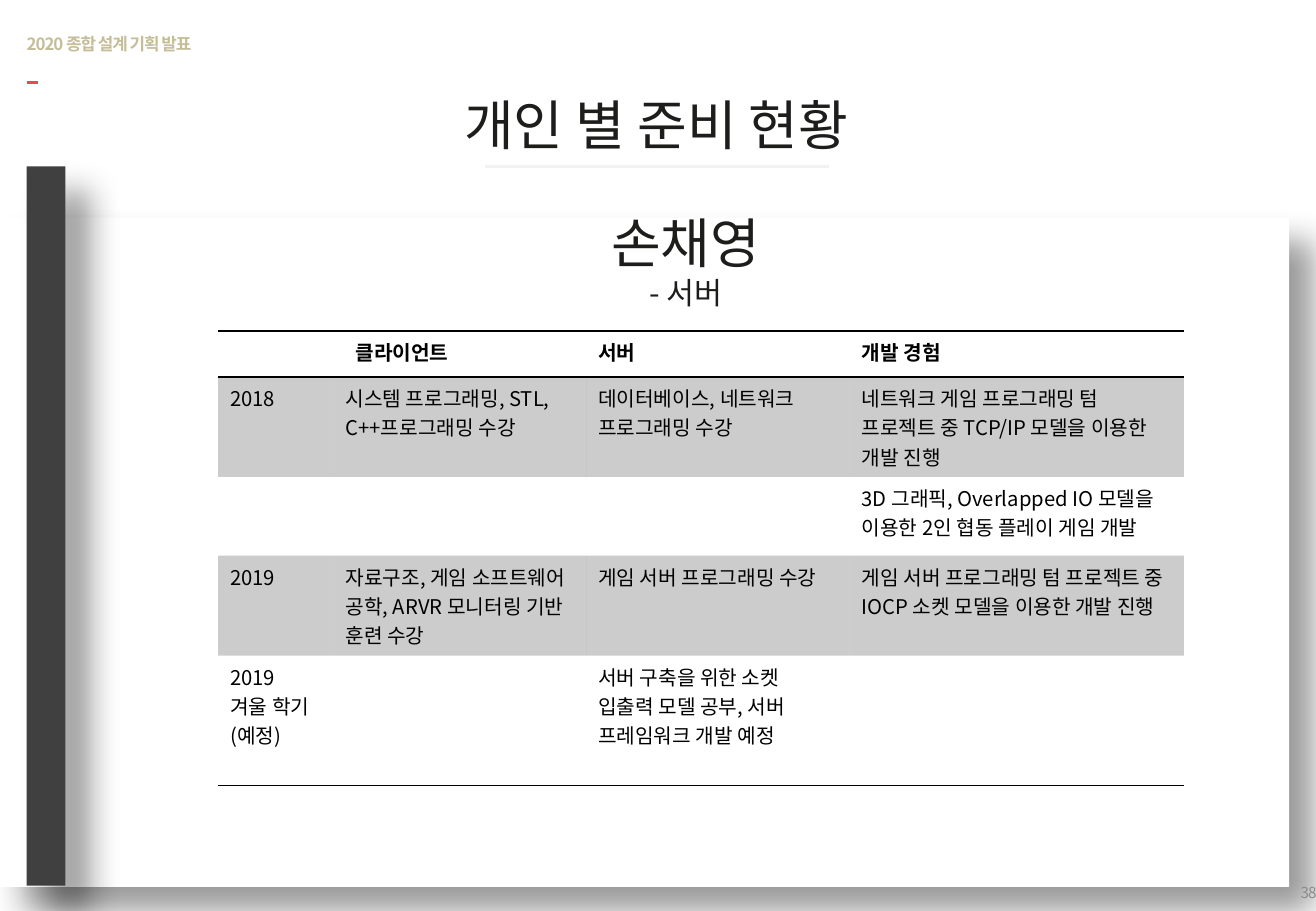
from lxml.etree import SubElement
from pptx import Presentation
from pptx.dml.color import RGBColor
from pptx.enum.shapes import MSO_CONNECTOR as Connector, MSO_SHAPE as Shape
from pptx.enum.text import MSO_ANCHOR as Anchor, PP_ALIGN as Align
from pptx.oxml import parse_xml
from pptx.oxml.ns import nsdecls, qn
from pptx.util import Cm, Pt

FONT = "Noto Sans CJK KR"
COLORS = {
    "accent": "DA5054", "ink": "1D1D1B", "rule": "F2F2F2", "heading": "C4BD97",
    "panel": "FFFFFF", "bar": "404040", "number": "8C8C8C", "black": "000000",
}
RULES = [
    (0.56, 0.79, 1.73, "accent", 2),
    (10.13, 17.32, 3.48, "rule", 2.25),
]
BLOCKS = [
    ((0, 4.55, 26.95, 14), "panel"),
    ((0.56, 3.48, 0.81, 15.04), "bar"),
]
TITLES = [
    ((3.63, 2.11, 20.19, 0.97), [("개인 별 준비 현황", 32)]),
    ((4.24, 4.95, 20.19, 0.97), [("손채영", 32), ("- 서버", 18)]),
]
LABELS = [
    ((0.56, 0.33, 7.59, 1.19), "2020 종합 설계 기획 발표", 10, "heading", True, Align.LEFT),
    ((26.37, 18.26, 1.15, 0.79), "38", 9, "number", False, Align.RIGHT),
]
TABLE_PLACE = (4.56, 6.92)
COLUMNS = [2.41, 5.28, 5.51, 6.99]
ROWS = [
    (0.96, ["클라이언트", "", "서버", "개발 경험"]),
    (2.09, ["2018", "시스템 프로그래밍, STL, C++프로그래밍 수강",
            "데이터베이스, 네트워크 프로그래밍 수강",
            "네트워크 게임 프로그래밍 텀 프로젝트 중 TCP/IP 모델을 이용한 개발 진행"]),
    (1.65, ["", "", "",
            "3D 그래픽, Overlapped IO 모델을 이용한 2인 협동 플레이 게임 개발"]),
    (2.09, ["2019", "자료구조, 게임 소프트웨어 공학, ARVR 모니터링 기반 훈련 수강",
            "게임 서버 프로그래밍 수강",
            "게임 서버 프로그래밍 텀 프로젝트 중 IOCP 소켓 모델을 이용한 개발 진행"]),
    (2.72, ["2019\n겨울 학기 (예정)", "",
            "서버 구축을 위한 소켓 입출력 모델 공부, 서버 프레임워크 개발 예정", ""]),
]
PLAIN_TABLE = "{2D5ABB26-0587-4C30-8999-92F81FD0307C}"


def color(name):
    return RGBColor.from_string(COLORS[name])


def style(para, size, tone, bold=False, spacing=None):
    font = para.font
    font.size, font.bold, font.name = Pt(size), bold, FONT
    font.color.rgb = color(tone)
    defaults = para._p.pPr.find(qn("a:defRPr"))
    SubElement(defaults, qn("a:ea")).set("typeface", FONT)
    if spacing is not None:
        defaults.set("spc", str(round(spacing * 100)))


def add_rule(page, left, right, top, tone, width):
    rule = page.shapes.add_connector(
        Connector.STRAIGHT, Cm(left), Cm(top), Cm(right), Cm(top))
    rule.line.color.rgb = color(tone)
    rule.line.width = Pt(width)
    SubElement(rule._element.spPr, qn("a:effectLst"))


def add_block(page, place, tone):
    block = page.shapes.add_shape(Shape.RECTANGLE, *map(Cm, place))
    block.fill.solid()
    block.fill.fore_color.rgb = color(tone)
    block.line.fill.background()
    block.shadow.inherit = False
    effects = block._element.spPr.find(qn("a:effectLst"))
    effects.append(parse_xml(
        f'<a:outerShdw {nsdecls("a")} blurRad="{Pt(19)}" dist="{Pt(20)}" '
        f'dir="2700000" algn="tl" rotWithShape="0"><a:srgbClr val="{COLORS["black"]}">'
        '<a:alpha val="40000"/></a:srgbClr></a:outerShdw>'))


def add_box(page, place):
    box = page.shapes.add_textbox(*map(Cm, place))
    frame = box.text_frame
    frame.word_wrap = True
    frame.vertical_anchor = Anchor.MIDDLE
    return frame


def add_title(page, place, lines):
    para = add_box(page, place).paragraphs[0]
    para.alignment = Align.CENTER
    para.space_after = Pt(3)
    style(para, lines[0][1], "ink")
    for index, (text, size) in enumerate(lines):
        if index:
            para.add_line_break()
        span = para.add_run()
        span.text = text
        span.font.size = Pt(size)


def add_label(page, place, text, size, tone, bold, align):
    frame = add_box(page, place)
    frame.margin_left = frame.margin_right = frame.margin_top = frame.margin_bottom = 0
    para = frame.paragraphs[0]
    para.text = text
    para.alignment = align
    style(para, size, tone, bold, -0.6)


def fill_cell(cell, text, row):
    cell.text = text
    for para in cell.text_frame.paragraphs:
        style(para, 12, "black", row == 0)
    if row % 2:
        cell.fill.solid()
        cell.fill.fore_color.rgb = color("black")
        tint = cell._tc.tcPr.find(".//" + qn("a:srgbClr"))
        SubElement(tint, qn("a:alpha")).set("val", "20000")
    else:
        cell.fill.background()
    edges = {0: ["lnT", "lnB"], len(ROWS) - 1: ["lnB"]}.get(row, [])
    for index, edge in enumerate(edges):
        cell._tc.tcPr.insert(index, parse_xml(
            f'<a:{edge} {nsdecls("a")} w="{Pt(1)}"><a:solidFill>'
            f'<a:srgbClr val="{COLORS["black"]}"/></a:solidFill></a:{edge}>'))


def add_schedule(page):
    height = sum(row_height for row_height, _ in ROWS)
    size = (sum(COLUMNS), height)
    table = page.shapes.add_table(
        len(ROWS), len(COLUMNS), *map(Cm, TABLE_PLACE + size)).table
    table.first_row = table.horz_banding = False
    table._tbl.tblPr.find(qn("a:tableStyleId")).text = PLAIN_TABLE
    for column, width in zip(table.columns, COLUMNS):
        column.width = Cm(width)
    for row, (row_height, texts) in enumerate(ROWS):
        table.rows[row].height = Cm(row_height)
        for column, text in enumerate(texts):
            fill_cell(table.cell(row, column), text, row)
    table.cell(0, 0).merge(table.cell(0, 1))
    table.cell(0, 0).text_frame.paragraphs[0].alignment = Align.CENTER


def main():
    deck = Presentation()
    deck.slide_width, deck.slide_height = Cm(27.51), Cm(19.05)
    page = deck.slides.add_slide(deck.slide_layouts[6])
    for rule in RULES:
        add_rule(page, *rule)
    for block in BLOCKS:
        add_block(page, *block)
    for title in TITLES:
        add_title(page, *title)
    for label in LABELS:
        add_label(page, *label)
    add_schedule(page)
    deck.save("out.pptx")


if __name__ == "__main__":
    main()
